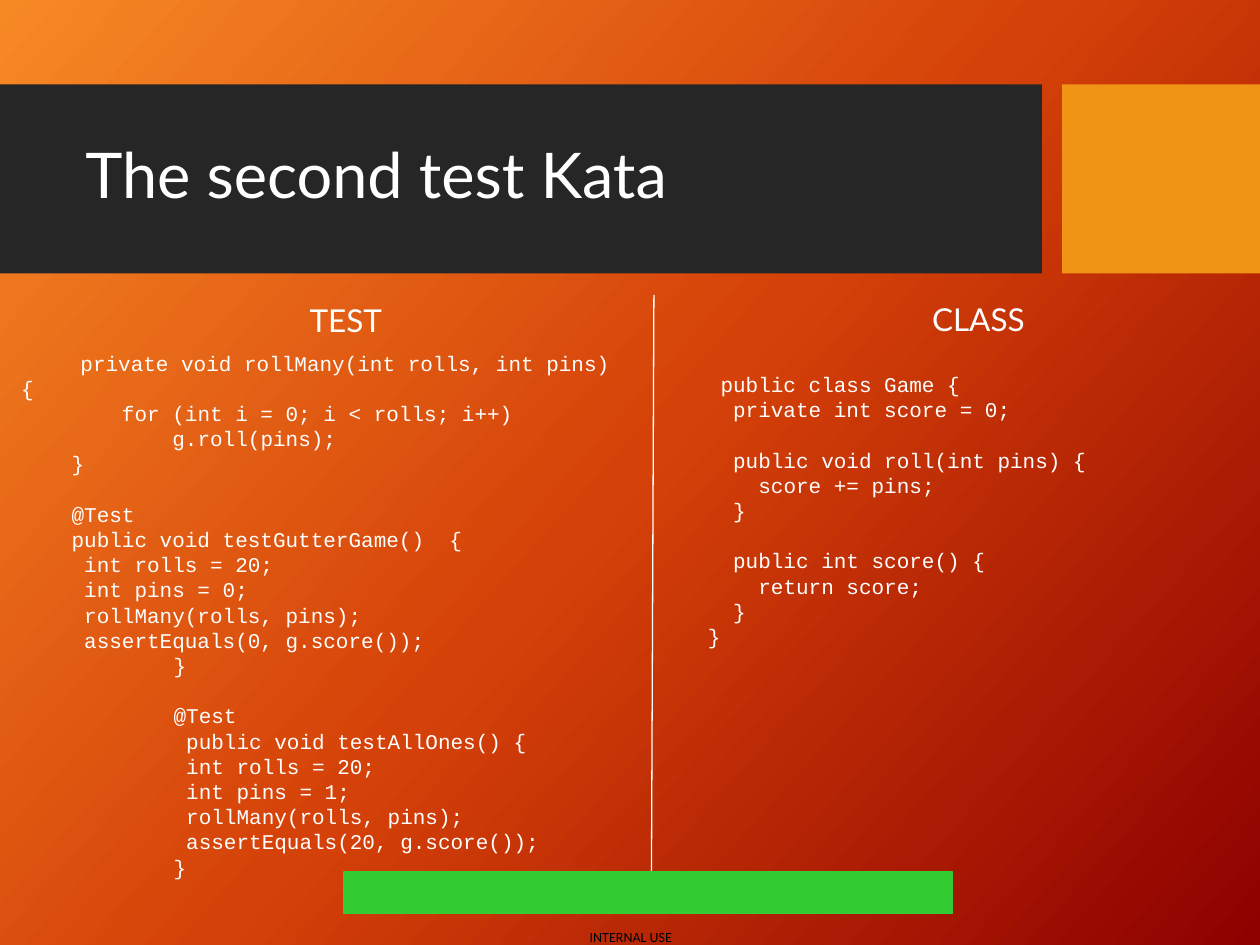
from copy import deepcopy
from lxml import etree
from pptx import Presentation
from pptx.dml.color import RGBColor
from pptx.enum.shapes import MSO_CONNECTOR, MSO_SHAPE
from pptx.enum.text import MSO_ANCHOR, PP_ALIGN
from pptx.oxml.ns import qn
from pptx.util import Inches, Pt

WHITE = RGBColor(0xFF, 0xFF, 0xFF)
BLACK = RGBColor(0, 0, 0)
DARK = RGBColor(0x26, 0x26, 0x26)
AMBER = RGBColor(0xF0, 0x94, 0x15)
GREEN = RGBColor(0x33, 0xCC, 0x33)
GRADIENT = [(0, RGBColor(0xF7, 0x89, 0x25)),
            (0.5, RGBColor(0xD5, 0x42, 0x09)),
            (1, RGBColor(0x8D, 0, 0))]
LINE = Pt(14.4)

prs = Presentation()
prs.slide_width, prs.slide_height = Inches(10), Inches(7.5)
slide = prs.slides.add_slide(prs.slide_layouts[6])

fill = slide.background.fill
fill.gradient()
fill.gradient_angle = 318
gs_list = next(slide.element.iter(qn("a:gsLst")))
gs_list.append(deepcopy(gs_list[-1]))
for stop, (position, color) in zip(fill.gradient_stops, GRADIENT):
    stop.position = position
    stop.color.rgb = color


def add_bar(x, y, w, h, color):
    sp = slide.shapes.add_shape(MSO_SHAPE.RECTANGLE, Inches(x), Inches(y), Inches(w), Inches(h))
    sp.shadow.inherit = False
    sp.fill.solid()
    sp.fill.fore_color.rgb = color
    sp.line.fill.background()
    return sp


def add_text(x, y, w, h, lines, size, font, color=WHITE):
    tf = slide.shapes.add_textbox(Inches(x), Inches(y), Inches(w), Inches(h)).text_frame
    tf.word_wrap = True
    tf.text = "\n".join(lines)
    for p in tf.paragraphs:
        for r in p.runs:
            r.font.size = Pt(size)
            r.font.name = font
            r.font.color.rgb = color
    return tf


add_bar(0, 0.67, 8.27, 1.5, DARK)
add_bar(8.43, 0.67, 1.57, 1.5, AMBER)

tf = add_text(4.68, 7.37, 0.67, 0.13, ["INTERNAL USE"], 8, "Calibri", BLACK)
tf.margin_left = tf.margin_right = tf.margin_top = tf.margin_bottom = 0
tf.word_wrap = False

tf = add_text(0.58, 0.82, 7.54, 1.18, ["The second test Kata"], 36, "Lato")
tf.vertical_anchor = MSO_ANCHOR.MIDDLE
tf.paragraphs[0].line_spacing = 0.9

for x, y, heading in [(1.58, 2.34, "TEST"), (6.6, 2.33, "CLASS")]:
    tf = add_text(x, y, 2.33, 0.4, [heading], 18, "Lato")
    tf.paragraphs[0].alignment = PP_ALIGN.CENTER

test_code = [
    (0.47, "private void rollMany(int rolls, int pins) {"),
    (0.8, "for (int i = 0; i < rolls; i++)"),
    (1.2, "g.roll(pins);"),
    (0.4, "}"),
    (0.4, "@Test"),
    (0.4, "public void testGutterGame()  {"),
    (0.5, "int rolls = 20;"),
    (0.5, "int pins = 0;"),
    (0.5, "rollMany(rolls, pins);"),
    (0.5, "assertEquals(0, g.score());"),
    (1.21, "}"),
    (1.21, "@Test"),
    (1.31, "public void testAllOnes() {"),
    (1.31, "int rolls = 20;"),
    (1.31, "int pins = 1;"),
    (1.31, "rollMany(rolls, pins);"),
    (1.31, "assertEquals(20, g.score());"),
    (1.21, "}"),
]
class_code = [
    (0.3, "public class Game {"),
    (0.4, "private int score = 0;"),
    (0.4, "public void roll(int pins) {"),
    (0.6, "score += pins;"),
    (0.4, "}"),
    (0.4, "public int score() {"),
    (0.6, "return score;"),
    (0.4, "}"),
    (0.2, "}"),
]
blocks = [
    ((0.07, 2.73, 5.03, 4.34), test_code, (4, 11)),
    ((5.32, 2.9, 4.42, 2.32), class_code, (2, 5)),
]
for box, code, after_gap in blocks:
    tf = add_text(*box, [text for _, text in code], 12, "Courier New")
    for i, (p, (indent, _)) in enumerate(zip(tf.paragraphs, code)):
        p.line_spacing = LINE
        if i in after_gap:
            p.space_before = LINE
        pPr = p._p.get_or_add_pPr()
        pPr.set("marL", "0")
        pPr.set("indent", str(Inches(indent)))

divider = slide.shapes.add_connector(
    MSO_CONNECTOR.STRAIGHT, Inches(5.19), Inches(2.34), Inches(5.17), Inches(7.08))
divider.line.color.rgb = WHITE
divider.line.width = Pt(0.75)
etree.SubElement(divider._element.spPr, qn("a:effectLst"))

status = add_bar(2.73, 6.92, 4.83, 0.33, GREEN)
status.line.color.rgb = GREEN
status.line.width = Pt(0.75)

prs.save("out.pptx")
